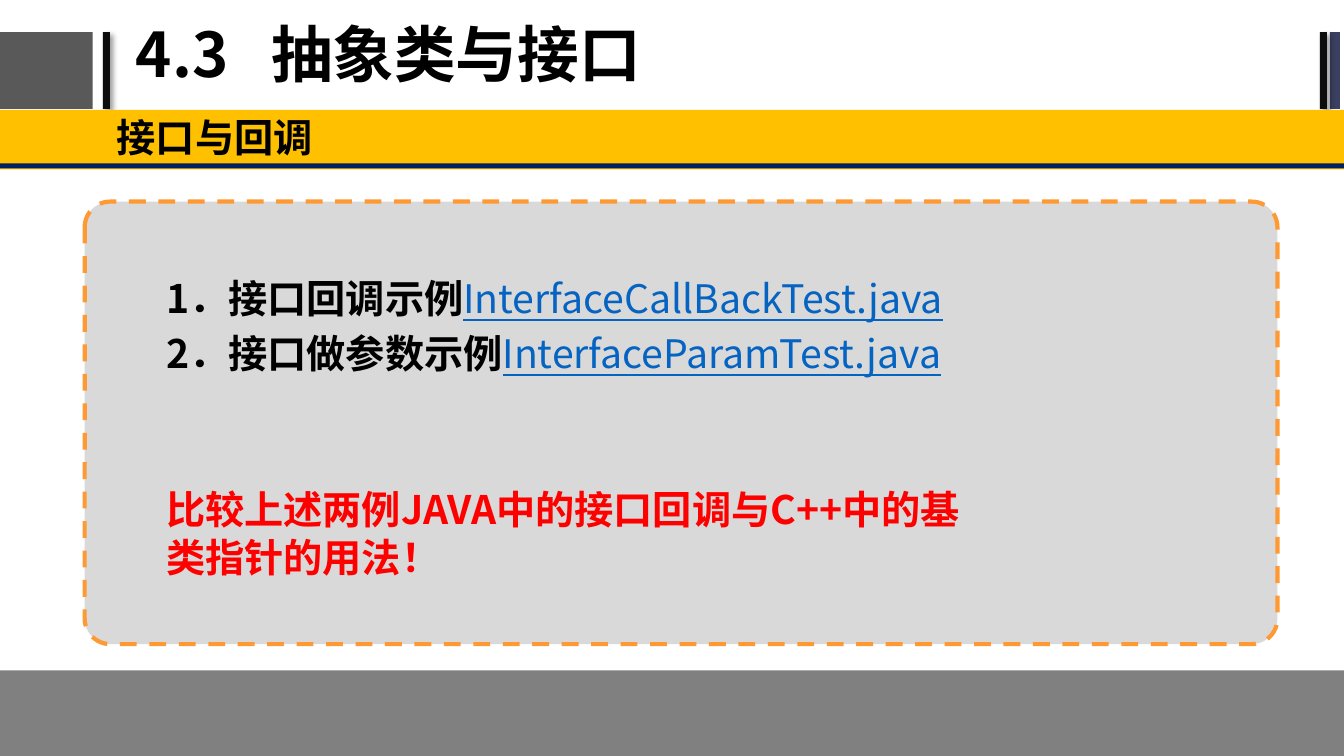
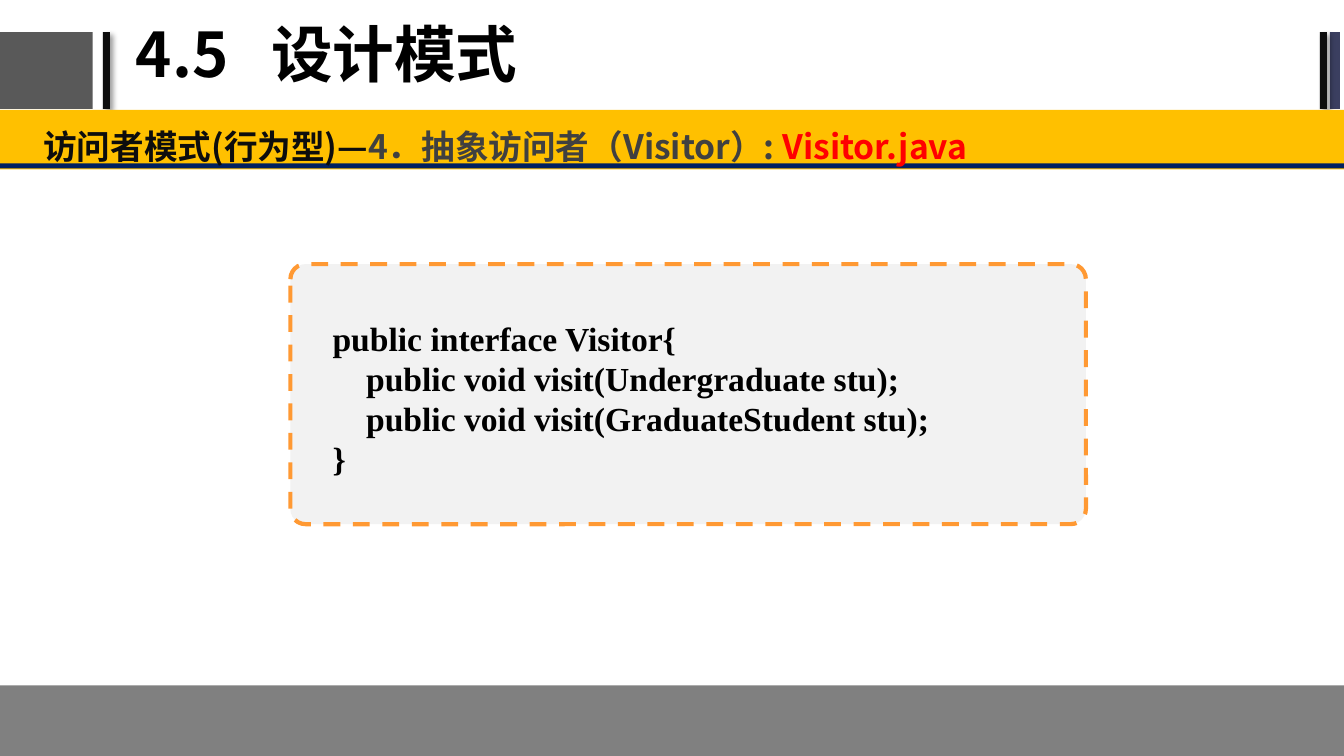
from dataclasses import dataclass
from typing import Optional

from lxml.etree import SubElement
from pptx import Presentation
from pptx.dml.color import RGBColor
from pptx.enum.dml import MSO_LINE
from pptx.enum.shapes import MSO_SHAPE as Shape
from pptx.enum.text import MSO_ANCHOR as Anchor, PP_ALIGN as Align
from pptx.oxml.ns import qn
from pptx.util import Inches, Pt


@dataclass(frozen=True)
class Theme:
    """Colours, fonts and type sizes of the deck."""
    black: str = "000000"
    ink: str = "0D0D0D"
    charcoal: str = "404040"
    block: str = "595959"
    footer: str = "808080"
    slate: str = "3B3F60"
    navy: str = "002060"
    amber: str = "FFC000"
    dash: str = "FF9933"
    panel: str = "D9D9D9"
    code_panel: str = "F2F2F2"
    link: str = "0563C1"
    red: str = "FF0000"
    sans: str = "Noto Sans CJK SC"
    serif: str = "Times New Roman"
    title_size: int = 44
    body_size: int = 28
    small_size: int = 24


THEME = Theme()
WIDTH, HEIGHT = 13.33, 7.5


@dataclass(frozen=True)
class TextStyle:
    """Look shared by all paragraphs of a text box."""
    size: int = THEME.body_size
    font: str = THEME.sans
    color: str = THEME.black
    spacing: float = 1.0
    before: float = 0
    align: Align = Align.LEFT
    tab: Optional[float] = None


@dataclass(frozen=True)
class Span:
    """A run of text with its own colour, or a link look."""
    text: str
    color: str = THEME.black
    is_link: bool = False


TITLE = TextStyle(size=THEME.title_size, spacing=0.9, tab=1.34)
HEADING = TextStyle(spacing=0.85)
LONG_HEADING = TextStyle(size=THEME.small_size, spacing=1.2)
EXAMPLES = TextStyle(spacing=0.87, before=10)
REMARK = TextStyle(color=THEME.red)
CODE = TextStyle(size=THEME.small_size, font=THEME.serif, spacing=0.8,
                 before=5.5, align=Align.JUSTIFY)


def rgb(color):
    """Turn a hex string into a colour."""
    return RGBColor.from_string(color)


def add_block(page, left, top, width, height, color, kind=Shape.RECTANGLE):
    """Add a filled shape without outline or shadow."""
    block = page.shapes.add_shape(
        kind, Inches(left), Inches(top), Inches(width), Inches(height))
    block.shadow.inherit = False
    block.fill.solid()
    block.fill.fore_color.rgb = rgb(color)
    block.line.fill.background()
    return block


def add_shadow_bar(page, left):
    """Add a thin dark bar with a soft shadow."""
    bar = add_block(page, left, 0.32, 0.07, 0.76, THEME.ink)
    effects = bar._element.spPr.find(qn("a:effectLst"))
    shadow = SubElement(effects, qn("a:outerShdw"), blurRad=str(Pt(4)),
                        dist=str(Pt(3)), dir="2700000", algn="tl")
    color = SubElement(shadow, qn("a:srgbClr"), val=THEME.black)
    SubElement(color, qn("a:alpha"), val="40000")


def add_panel(page, left, top, width, height, color):
    """Add a rounded panel with a dashed outline."""
    panel = add_block(page, left, top, width, height, color,
                      Shape.ROUNDED_RECTANGLE)
    panel.adjustments[0] = 0.058
    panel.line.color.rgb = rgb(THEME.dash)
    panel.line.width = Pt(3)
    panel.line.dash_style = MSO_LINE.DASH


def format_paragraph(para, style, is_first, uniform):
    """Apply a text style to a paragraph."""
    properties = para._p.get_or_add_pPr()
    if style.tab:
        tabs = SubElement(properties, qn("a:tabLst"))
        SubElement(tabs, qn("a:tab"), pos=str(Inches(style.tab)), algn="l")
    para.alignment = style.align
    para.line_spacing = style.spacing
    para.space_before = Pt(0 if is_first else style.before)
    para.font.name = style.font
    para.font.size = Pt(style.size)
    SubElement(properties.find(qn("a:defRPr")), qn("a:ea"),
               typeface=style.font)
    if uniform:
        para.font.bold = True
        para.font.color.rgb = rgb(style.color)


def add_spans(para, spans):
    """Add runs that differ in colour, weight or underline."""
    for span in spans:
        run = para.add_run()
        run.text = span.text
        run.font.color.rgb = rgb(span.color)
        run.font.bold = not span.is_link
        run.font.underline = span.is_link


def add_text(page, left, top, width, height, lines, style,
             anchor=Anchor.TOP, insets=(0.1, 0.05)):
    """Add a text box whose lines are strings or lists of spans."""
    box = page.shapes.add_textbox(
        Inches(left), Inches(top), Inches(width), Inches(height))
    frame = box.text_frame
    frame.word_wrap = True
    frame.vertical_anchor = anchor
    frame.margin_left = frame.margin_right = Inches(insets[0])
    frame.margin_top = frame.margin_bottom = Inches(insets[1])
    for index, line in enumerate(lines):
        para = frame.add_paragraph() if index else frame.paragraphs[0]
        uniform = isinstance(line, str)
        format_paragraph(para, style, index == 0, uniform)
        if uniform:
            para.add_run().text = line
        else:
            add_spans(para, line)


def add_page(deck, title, footer_top):
    """Add a slide with the shared title, bands and footer."""
    page = deck.slides.add_slide(deck.slide_layouts[6])
    add_block(page, -0.02, 0.32, 0.94, 0.76, THEME.block)
    add_shadow_bar(page, 1.02)
    add_block(page, 13.19, 0.32, 0.1, 0.76, THEME.slate)
    add_shadow_bar(page, 13.09)
    add_text(page, 1.25, 0.02, 8.47, 1.1, [title], TITLE, Anchor.MIDDLE)
    add_block(page, -0.05, 1.09, 13.4, 0.59, THEME.amber)
    add_block(page, 0, 1.62, WIDTH, 0.05, THEME.navy)
    add_block(page, 0, footer_top, WIDTH, HEIGHT - footer_top, THEME.footer)
    return page


def add_callback_page(deck):
    """Build the slide on interfaces and callbacks."""
    page = add_page(deck, "4.3\t抽象类与接口", 6.65)
    add_panel(page, 0.84, 2, 11.83, 4.39, THEME.panel)
    add_text(page, 1.06, 1.06, 6.75, 0.58, ["接口与回调"], HEADING,
             Anchor.BOTTOM)
    examples = [("1．接口回调示例", "InterfaceCallBackTest.java"),
                ("2．接口做参数示例", "InterfaceParamTest.java")]
    lines = [[Span(label), Span(name, THEME.link, True)]
             for label, name in examples]
    add_text(page, 1.55, 2.74, 8.98, 1.28, lines, EXAMPLES)
    add_text(page, 1.55, 4.77, 8.19, 1.51,
             ["比较上述两例JAVA中的接口回调与C++中的基类指针的用法！"], REMARK)


def add_visitor_page(deck):
    """Build the slide on the visitor interface."""
    page = add_page(deck, "4.5\t设计模式", 6.8)
    heading = [Span("访问者模式(行为型)—", THEME.ink),
               Span("4．抽象访问者（Visitor）: ", THEME.charcoal),
               Span("Visitor.java", THEME.red)]
    add_text(page, 0.3, 1.1, 13.06, 0.58, [heading], LONG_HEADING,
             insets=(0.13, 0.07))
    add_panel(page, 2.88, 2.62, 7.89, 2.58, THEME.code_panel)
    code = ["public interface Visitor{",
            "    public void visit(Undergraduate stu);",
            "    public void visit(GraduateStudent stu);",
            "}"]
    add_text(page, 3.2, 3.18, 7.83, 1.64, code, CODE)


def main():
    """Build and save the deck."""
    deck = Presentation()
    deck.slide_width = Inches(WIDTH)
    deck.slide_height = Inches(HEIGHT)
    add_callback_page(deck)
    add_visitor_page(deck)
    deck.save("out.pptx")


if __name__ == "__main__":
    main()
